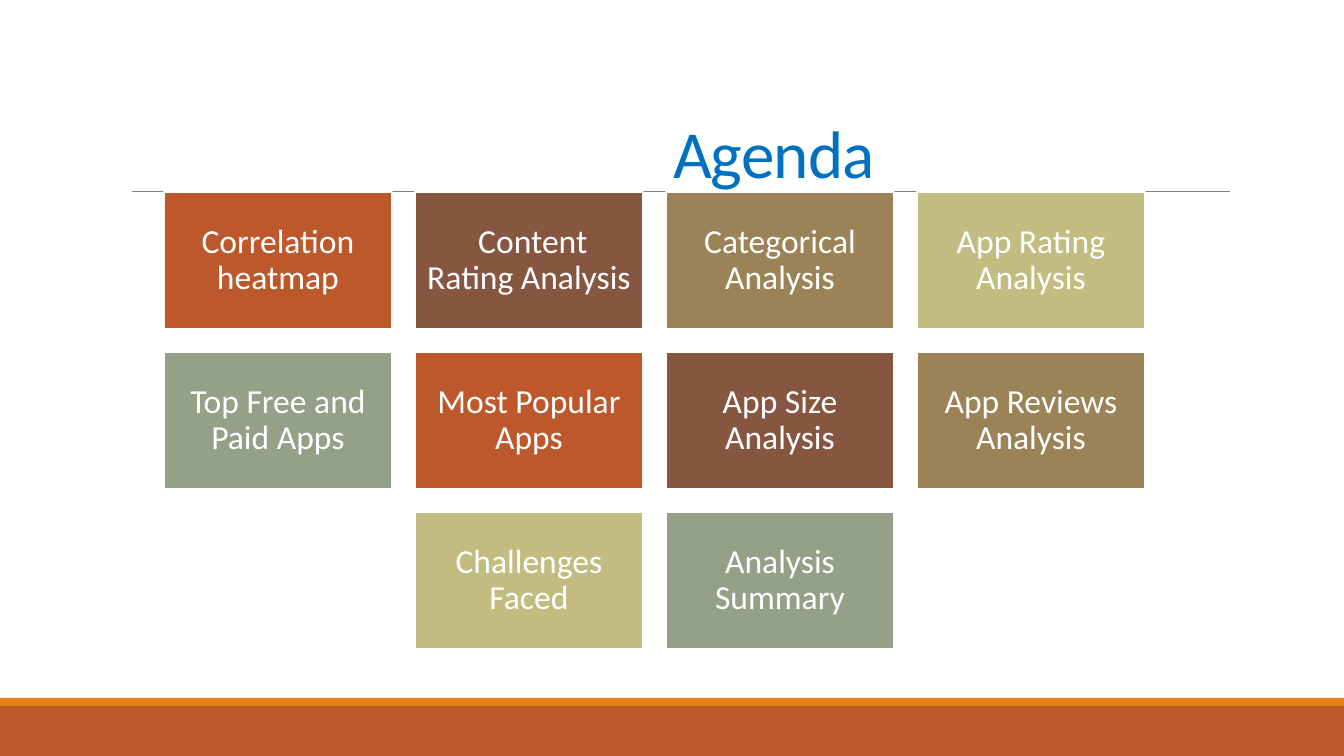
from pptx import Presentation
from pptx.dml.color import RGBColor
from pptx.enum.shapes import MSO_CONNECTOR, MSO_SHAPE
from pptx.enum.text import MSO_ANCHOR, MSO_AUTO_SIZE, PP_ALIGN
from pptx.oxml.ns import qn
from pptx.util import Emu, Pt
from lxml import etree

RECTANGLE = MSO_SHAPE.RECTANGLE
STRAIGHT = MSO_CONNECTOR.STRAIGHT
MIDDLE, BOTTOM = MSO_ANCHOR.MIDDLE, MSO_ANCHOR.BOTTOM
CENTER, LEFT = PP_ALIGN.CENTER, PP_ALIGN.LEFT

WHITE = RGBColor(0xFF, 0xFF, 0xFF)
GRAY = RGBColor(0x80, 0x80, 0x80)
BLUE = RGBColor(0x00, 0x70, 0xC0)
ORANGE = RGBColor(0xE4, 0x83, 0x12)
RUST = RGBColor(0xBD, 0x58, 0x2C)
BROWN = RGBColor(0x86, 0x56, 0x40)
TAN = RGBColor(0x9B, 0x83, 0x57)
KHAKI = RGBColor(0xC2, 0xBC, 0x80)
SAGE = RGBColor(0x94, 0xA0, 0x88)

FONT = "Calibri"
TITLE = [("Agen", -50), ("da", -80)]
TOPICS = [
    "Correlation heatmap", " Content Rating Analysis",
    "Categorical Analysis", "App Rating Analysis",
    "Top Free and Paid Apps", "Most Popular Apps",
    "App Size Analysis", "App Reviews Analysis",
    "Challenges Faced", "Analysis Summary",
]
TILE_COLORS = [RUST, BROWN, TAN, KHAKI, SAGE]
BANDS = [(706, 50, RUST), (698, 8, ORANGE)]

SLIDE_W, SLIDE_H = 1344, 756
COLUMNS = 4
GRID_LEFT, GRID_TOP = 164, 192
TILE_W, TILE_H = 228, 137
GAP = 23
INSET = 10


def px(value):
    return Emu(round(value * 9144000 / SLIDE_W))


def set_insets(frame, left, top, right, bottom):
    frame.margin_left, frame.margin_top = px(left), px(top)
    frame.margin_right, frame.margin_bottom = px(right), px(bottom)


def add_text(paragraph, text, size, color):
    run = paragraph.add_run()
    run.text = text
    run.font.name = FONT
    run.font.size = Pt(size)
    run.font.color.rgb = color
    return run


def add_block(slide, left, top, width, height, color):
    block = slide.shapes.add_shape(RECTANGLE, px(left), px(top), px(width), px(height))
    block.shadow.inherit = False
    block.fill.solid()
    block.fill.fore_color.rgb = color
    block.line.fill.background()
    return block


def add_rule(slide):
    rule = slide.shapes.add_connector(STRAIGHT, px(132), px(192), px(1230), px(192))
    rule.line.color.rgb = GRAY
    rule.line.width = Pt(0.5)
    etree.SubElement(rule._element.spPr, qn("a:effectLst"))


def fill_title(title):
    title.left, title.top, title.width, title.height = px(168), px(32), px(1109), px(160)
    frame = title.text_frame
    frame.auto_size = MSO_AUTO_SIZE.NONE
    frame.vertical_anchor = BOTTOM
    set_insets(frame, 505, 1, 0, 0)
    heading = frame.paragraphs[0]
    heading.alignment = LEFT
    heading.line_spacing = 0.85
    for text, tracking in TITLE:
        run = add_text(heading, text, 36, BLUE)
        run._r.get_or_add_rPr().set("spc", str(tracking))


def add_tile(slide, left, top, topic, color):
    tile = add_block(slide, left, top, TILE_W, TILE_H, color)
    tile.line.color.rgb = WHITE
    tile.line.width = Pt(1.25)
    frame = tile.text_frame
    frame.word_wrap = True
    frame.vertical_anchor = MIDDLE
    set_insets(frame, INSET, INSET, INSET, INSET)
    label = frame.paragraphs[0]
    label.alignment = CENTER
    label.line_spacing = 0.9
    add_text(label, topic, 18, WHITE)


def main():
    deck = Presentation()
    deck.slide_width, deck.slide_height = px(SLIDE_W), px(SLIDE_H)
    slide = deck.slides.add_slide(deck.slide_layouts[5])
    for top, height, color in BANDS:
        add_block(slide, 0, top, SLIDE_W, height, color)
    add_rule(slide)
    fill_title(slide.shapes.title)

    for start in range(0, len(TOPICS), COLUMNS):
        row_topics = TOPICS[start:start + COLUMNS]
        indent = (COLUMNS - len(row_topics)) / 2
        top = GRID_TOP + start // COLUMNS * (TILE_H + GAP)
        for column, topic in enumerate(row_topics):
            left = GRID_LEFT + (indent + column) * (TILE_W + GAP)
            color = TILE_COLORS[(start + column) % len(TILE_COLORS)]
            add_tile(slide, left, top, topic, color)

    deck.save("out.pptx")


if __name__ == "__main__":
    main()
